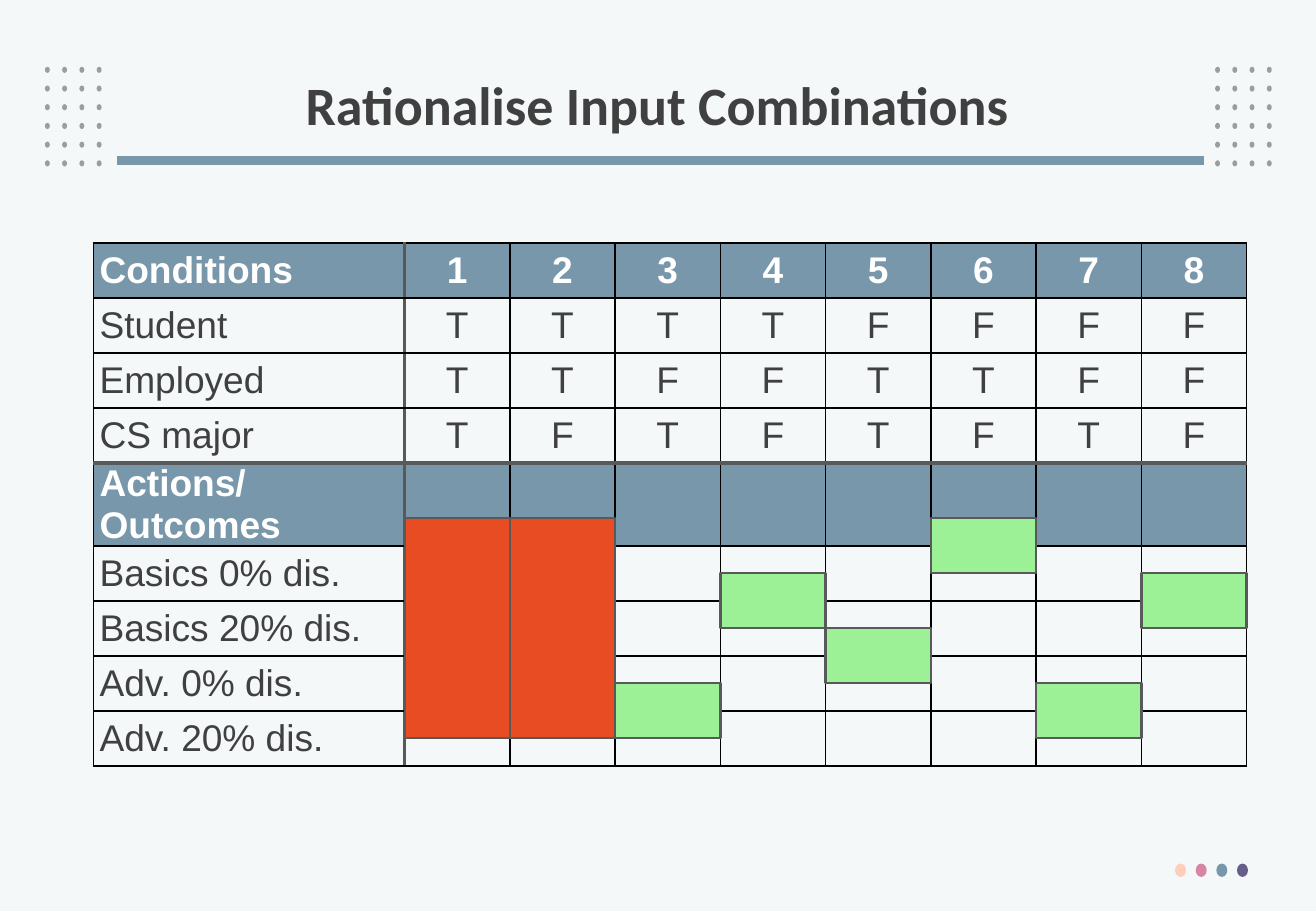
import pptx
import pptx.util
import pptx.dml.color
import pptx.enum.shapes
import pptx.enum.text
import pptx.oxml
import pptx.oxml.ns

Inches, Pt = pptx.util.Inches, pptx.util.Pt
SHAPE = pptx.enum.shapes.MSO_SHAPE
ALIGN = pptx.enum.text.PP_ALIGN
MIDDLE = pptx.enum.text.MSO_ANCHOR.MIDDLE

COLORS = {
    "background": "F5F8F9", "text": "404040", "white": "FFFFFF", "black": "000000",
    "steel": "7897AB", "gray": "595959", "dot": "9D9D9D", "red": "E84C22",
    "green": "9CF196", "peach": "FDCEB9", "pink": "D885A3", "violet": "655D8A",
}
TITLE_FONT = {"name": "Calibri", "size": Pt(32), "bold": True}
HEAD_FONT = {"name": "Arial", "size": Pt(22), "bold": True}
BODY_FONT = {"name": "Arial", "size": Pt(22), "bold": False}
CELL_FORMAT = {
    "margin_left": Inches(0.05), "margin_right": Inches(0.05),
    "margin_top": 0, "margin_bottom": 0, "vertical_anchor": MIDDLE,
}

ROWS = [
    ("Conditions", "12345678"),
    ("Student", "TTTTFFFF"),
    ("Employed", "TTFFTTFF"),
    ("CS major", "TFTFTFTF"),
    ("Actions/Outcomes", ""),
    ("Basics 0% dis.", ""),
    ("Basics 20% dis.", ""),
    ("Adv. 0% dis.", ""),
    ("Adv. 20% dis.", ""),
]
HEAD_ROWS = (0, 4)
LABEL_W, ROW_H = 2.56, 0.453
# Rule column, first table row, rows covered, fill, line width
MARKS = [
    (0, 5, 4, "red", 1.25), (1, 5, 4, "red", 1.5),
    (2, 8, 1, "green", 1.5), (3, 6, 1, "green", 1.5),
    (4, 7, 1, "green", 1.5), (5, 5, 1, "green", 1.5),
    (6, 8, 1, "green", 1.5), (7, 6, 1, "green", 1.5),
]


def rgb(name):
    return pptx.dml.color.RGBColor.from_string(COLORS[name])


def apply(obj, values):
    for key, value in values.items():
        setattr(obj, key, value)


def write(p, text, font, color, align):
    p.alignment = align
    r = p.add_run()
    r.text = text
    apply(r.font, font)
    r.font.color.rgb = rgb(color)


def add_shape(slide, kind, box, fill, line=None):
    sp = slide.shapes.add_shape(kind, *map(Inches, box))
    sp.shadow.inherit = False
    sp.fill.solid()
    sp.fill.fore_color.rgb = rgb(fill)
    if line:
        sp.line.color.rgb = rgb("gray")
        sp.line.width = Pt(line)
    else:
        sp.line.fill.background()


def add_dot_grid(slide, left, top):
    for row in range(6):
        for col in range(4):
            box = (left + col * 0.142, top + row * 0.154, 0.04, 0.05)
            add_shape(slide, SHAPE.OVAL, box, "dot")


def add_color_dots(slide, left, top):
    for i, color in enumerate(("peach", "pink", "steel", "violet")):
        add_shape(slide, SHAPE.OVAL, (left + i * 0.17, top, 0.09, 0.11), color)


def add_title(slide, left, top, width, height):
    sp = slide.shapes.title
    apply(sp, dict(zip(("left", "top", "width", "height"),
                       map(Inches, (left, top, width, height)))))
    tf = sp.text_frame
    tf.vertical_anchor = MIDDLE
    tf.paragraphs[0].line_spacing = 0.9
    write(tf.paragraphs[0], "Rationalise Input Combinations",
          TITLE_FONT, "text", ALIGN.CENTER)
    # Rule under the title
    y = Inches(top + 0.92)
    line = slide.shapes.add_connector(
        pptx.enum.shapes.MSO_CONNECTOR.STRAIGHT,
        Inches(left + 9.17), y, Inches(left + 0.22), y)
    line.line.color.rgb = rgb("steel")
    line.line.width = Pt(5.25)
    pptx.oxml.ns.qn("a:effectLst")
    line._element.spPr.append(pptx.oxml.parse_xml(
        f"<a:effectLst {pptx.oxml.ns.nsdecls('a')}/>"))


def set_borders(cell, thick):
    tcPr = cell._tc.get_or_add_tcPr()
    for i, side in enumerate("LRTB"):
        color, width = ("gray", 2.25) if side in thick else ("black", 1)
        tcPr.insert(i, pptx.oxml.parse_xml(
            f'<a:ln{side} {pptx.oxml.ns.nsdecls("a")} w="{Pt(width)}">'
            f'<a:solidFill><a:srgbClr val="{COLORS[color]}"/></a:solidFill>'
            f'</a:ln{side}>'))


def format_cell(cell, row, col, text):
    head = row in HEAD_ROWS
    apply(cell, CELL_FORMAT)
    if head:
        cell.fill.solid()
        cell.fill.fore_color.rgb = rgb("steel")
    else:
        cell.fill.background()
    if text:
        write(cell.text_frame.paragraphs[0], text,
              HEAD_FONT if head else BODY_FONT,
              "white" if head else "text",
              ALIGN.CENTER if col else ALIGN.LEFT)
    # Heavy lines beside the labels and above the outcomes
    thick = {0: "R", 1: "L"}.get(col, "") + {3: "B", 4: "T"}.get(row, "")
    set_borders(cell, thick)


def add_decision_table(slide, left, top, width):
    rule_w = (width - LABEL_W) / 8
    table = slide.shapes.add_table(
        len(ROWS), 9, Inches(left), Inches(top),
        Inches(width), Inches(ROW_H * len(ROWS))).table
    apply(table, {"first_row": False, "horz_banding": False})
    for i, column in enumerate(table.columns):
        column.width = Inches(rule_w if i else LABEL_W)
    for row, (label, values) in enumerate(ROWS):
        table.rows[row].height = Inches(ROW_H)
        for col, text in enumerate([label, *values.ljust(8)]):
            format_cell(table.cell(row, col), row, col, text.strip())
    # Outcome marks
    for col, row, span, fill, line in MARKS:
        box = (left + LABEL_W + col * rule_w, top + row * ROW_H,
               rule_w, span * ROW_H)
        add_shape(slide, SHAPE.RECTANGLE, box, fill, line)


def main():
    prs = pptx.Presentation()
    prs.slide_width, prs.slide_height = Inches(10.83), Inches(7.5)
    slide = prs.slides.add_slide(prs.slide_layouts[5])
    slide.background.fill.solid()
    slide.background.fill.fore_color.rgb = rgb("background")
    add_dot_grid(slide, 0.37, 0.55)
    add_dot_grid(slide, 10, 0.55)
    add_color_dots(slide, 9.67, 7.11)
    add_title(slide, 0.74, 0.4, 9.34, 0.98)
    add_decision_table(slide, 0.77, 2, 9.49)
    prs.save("out.pptx")


if __name__ == "__main__":
    main()
